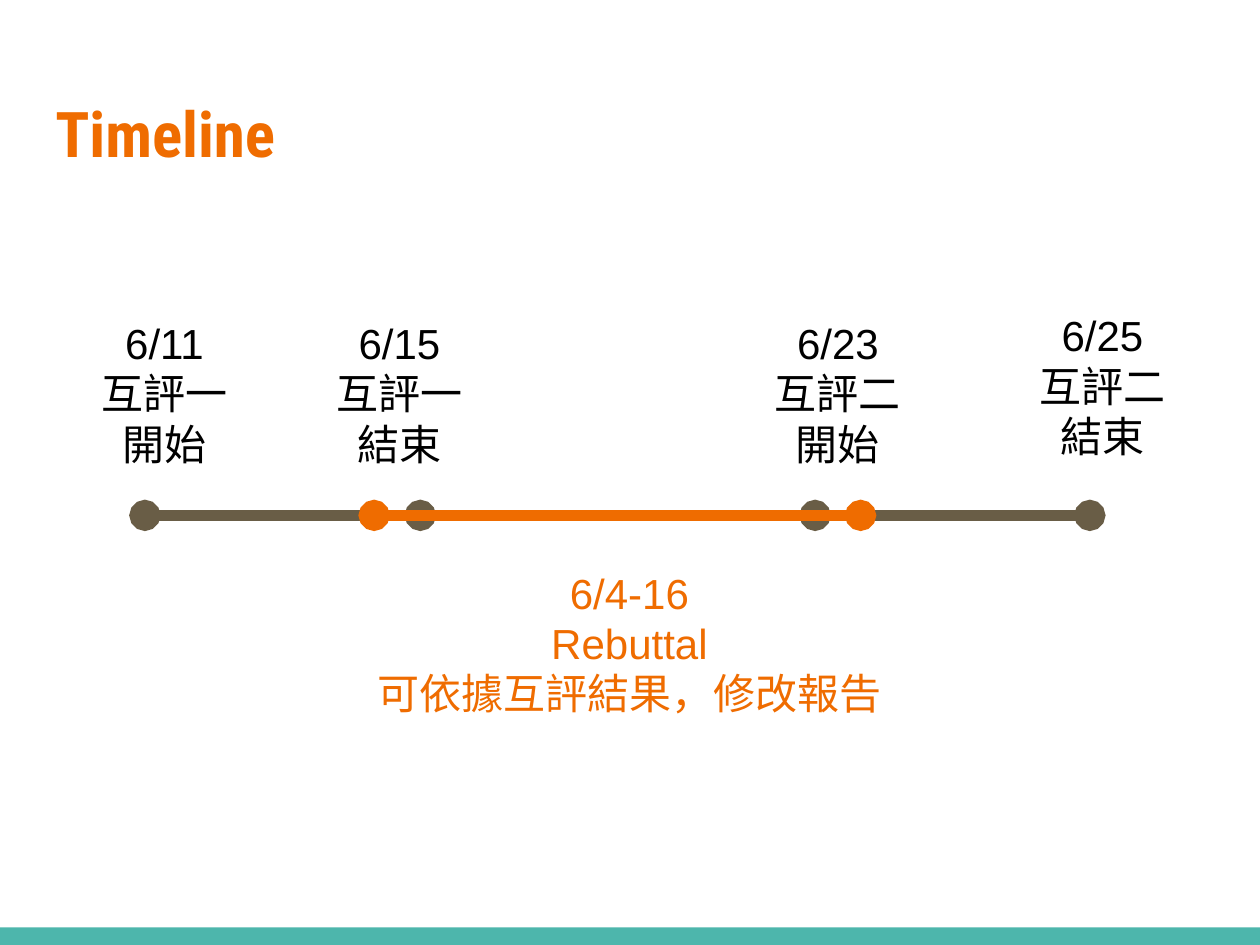
import pptx
import pptx.dml.color
import pptx.enum.shapes
import pptx.enum.text
import pptx.oxml
import pptx.oxml.ns
import pptx.util

Pt = pptx.util.Pt
COLORS = {"orange": "EF6C00", "brown": "695D46", "teal": "4DB6AC", "black": "000000"}
ALIGN = pptx.enum.text.PP_ALIGN
AXIS_Y = 294.5
LABEL_FORMAT = {"size": Pt(24), "name": "Arial"}
TITLE_FORMAT = {"size": Pt(36), "name": "Roboto Condensed", "bold": True}


def rgb(color):
    return pptx.dml.color.RGBColor.from_string(COLORS[color])


def add_text(s, box, lines, color, formats, align=ALIGN.CENTER):
    sp = s.shapes.add_textbox(*map(Pt, box))
    tf = sp.text_frame
    frame = {"word_wrap": True, "vertical_anchor": pptx.enum.text.MSO_ANCHOR.TOP}
    for side in ("left", "top", "right", "bottom"):
        frame["margin_" + side] = Pt(7.2)
    for key, value in frame.items():
        setattr(tf, key, value)
    tf.text = "\n".join(lines)
    for p in tf.paragraphs:
        p.alignment = align
        for r in p.runs:
            r.font.color.rgb = rgb(color)
            for key, value in formats.items():
                setattr(r.font, key, value)


def add_bar(s, box, color):
    sp = s.shapes.add_shape(pptx.enum.shapes.MSO_SHAPE.RECTANGLE, *map(Pt, box))
    sp.shadow.inherit = False
    sp.fill.solid()
    sp.fill.fore_color.rgb = rgb(color)
    sp.line.fill.background()


def add_span(s, start, end, color):
    sp = s.shapes.add_connector(pptx.enum.shapes.MSO_CONNECTOR.STRAIGHT,
                                Pt(start), Pt(AXIS_Y), Pt(end), Pt(AXIS_Y))
    sp.line.width = Pt(6)
    sp.line.color.rgb = rgb(color)
    ln = sp.line._get_or_add_ln()
    for tag in ("a:headEnd", "a:tailEnd"):
        cap = pptx.oxml.ns.qn(tag)
        ln.append(ln.makeelement(cap, {"type": "oval"}))
    effects = pptx.oxml.ns.qn("a:effectLst")
    ln.addnext(ln.makeelement(effects, {}))


def main():
    prs = pptx.Presentation()
    prs.slide_width, prs.slide_height = Pt(720), Pt(540)
    s = prs.slides.add_slide(prs.slide_layouts[6])

    add_bar(s, (0, 530, 720, 10), "teal")
    add_text(s, (24.5, 46.8, 671, 74), ["Timeline"], "orange", TITLE_FORMAT, ALIGN.LEFT)

    milestones = [
        (38.2, 174.2, 111.6, "6/11\v互評一", "開始"),
        (176.4, 174.2, 103.7, "6/15\v互評一", "結束"),
        (427, 174.2, 103.7, "6/23\v互評二", "開始"),
        (578.2, 169.9, 103.7, "6/25\v互評二", "結束"),
    ]
    for left, top, width, *lines in milestones:
        add_text(s, (left, top, width, 98), lines, "black", LABEL_FORMAT)

    add_span(s, 82.8, 240.2, "brown")
    add_span(s, 465.8, 622.8, "brown")
    add_text(s, (207.4, 316.8, 304.6, 98),
             ["6/4-16\vRebuttal", "可依據互評結果，修改報告"], "orange", LABEL_FORMAT)
    add_span(s, 213.8, 491.8, "orange")

    prs.save("out.pptx")


if __name__ == "__main__":
    main()
